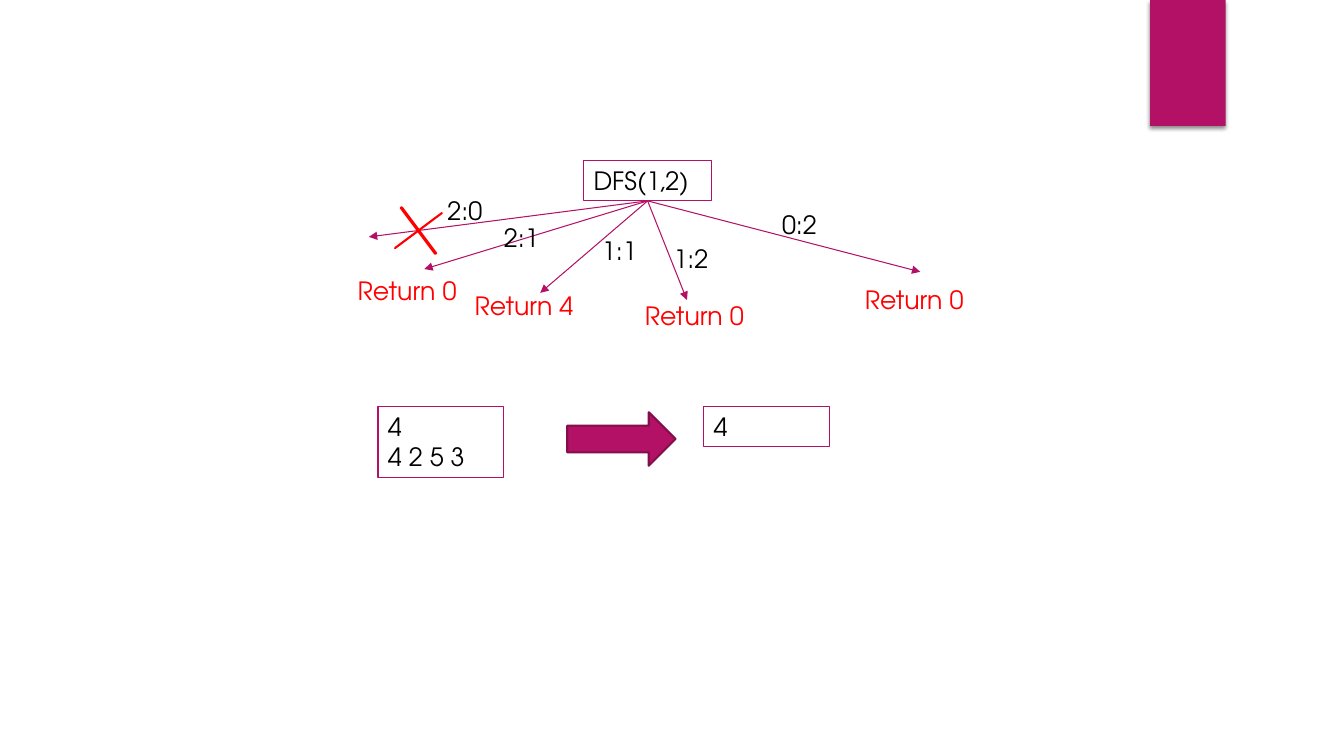
from lxml.etree import SubElement
from pptx import Presentation
from pptx.dml.color import RGBColor
from pptx.enum.shapes import MSO_CONNECTOR, MSO_SHAPE
from pptx.enum.text import MSO_ANCHOR, PP_ALIGN
from pptx.oxml import parse_xml
from pptx.oxml.ns import qn
from pptx.util import Pt

MAGENTA = RGBColor(0xB3, 0x11, 0x66)
DARK_MAGENTA = RGBColor(0x84, 0x0D, 0x4B)
RED = RGBColor(0xFF, 0x00, 0x00)
BLACK = RGBColor(0x00, 0x00, 0x00)
FONT = "TeX Gyre Adventor"
LINE_HEIGHT = 29

# Content: text, left, top, width, height (points)
ROOT = ("DFS(1,2)", 416.9, 114.5, 91.4, LINE_HEIGHT)
INPUT = ("4\n4 2 5 3", 270, 290, 90, 51)
OUTPUT = ("4", 502.6, 290, 90, LINE_HEIGHT)

# Branches: label, label position, arrow tip, result, result position
BRANCHES = [
    ("2:0", (312.5, 136), (263.5, 169.2), None, None),
    ("2:1", (352.8, 155), (303.1, 192.2), "Return 0", (248.4, 193)),
    ("1:1", (422.9, 164.7), (385.9, 209.2), "Return 4", (331.9, 203.5)),
    ("1:2", (474, 170), (490.7, 214.3), "Return 0", (453.6, 211)),
    ("0:2", (551.5, 146.2), (657.4, 194.2), "Return 0", (610.6, 199.5)),
]
LABEL_WIDTH, RESULT_WIDTH = 62, 111.6

SHADOW = (
    '<a:effectLst xmlns:a="http://schemas.openxmlformats.org/drawingml/2006/main">'
    '<a:outerShdw blurRad="38100" dist="25400" dir="5400000" rotWithShape="0">'
    '<a:srgbClr val="000000"><a:alpha val="45000"/></a:srgbClr>'
    '</a:outerShdw></a:effectLst>'
)

presentation = Presentation()
presentation.slide_width, presentation.slide_height = Pt(960), Pt(540)
slide = presentation.slides.add_slide(presentation.slide_layouts[6])


def write(shape, text, color):
    text_frame = shape.text_frame
    text_frame.text = text
    text_frame.word_wrap = True
    text_frame.vertical_anchor = MSO_ANCHOR.TOP
    for paragraph in text_frame.paragraphs:
        paragraph.alignment = PP_ALIGN.LEFT
        for run in paragraph.runs:
            run.font.name, run.font.size = FONT, Pt(18)
            run.font.color.rgb = color


def add_text(text, position, width, color):
    left, top = position
    text_box = slide.shapes.add_textbox(Pt(left), Pt(top), Pt(width), Pt(LINE_HEIGHT))
    write(text_box, text, color)


def add_shape(kind, left, top, width, height, fill=None, line=None, weight=0.75):
    shape = slide.shapes.add_shape(kind, Pt(left), Pt(top), Pt(width), Pt(height))
    shape.shadow.inherit = False
    if fill is None:
        shape.fill.background()
    else:
        shape.fill.solid()
        shape.fill.fore_color.rgb = fill
    if line is None:
        shape.line.fill.background()
    else:
        shape.line.color.rgb = line
        shape.line.width = Pt(weight)
    return shape


def add_box(text, *place):
    box = add_shape(MSO_SHAPE.RECTANGLE, *place, line=MAGENTA)
    write(box, text, BLACK)
    return box


def add_branch(root, tip):
    connector = slide.shapes.add_connector(
        MSO_CONNECTOR.STRAIGHT, 0, 0, Pt(tip[0]), Pt(tip[1]))
    connector.begin_connect(root, 2)
    connector.line.color.rgb = MAGENTA
    connector.line.width = Pt(0.75)
    properties = connector.line._get_or_add_ln()
    SubElement(properties, qn("a:tailEnd"), type="triangle")
    SubElement(connector._element.spPr, qn("a:effectLst"))


# Corner tab with a soft shadow
tab = add_shape(MSO_SHAPE.RECTANGLE, 821.5, 0, 54, 90, fill=MAGENTA)
properties = tab._element.spPr
properties.replace(properties.find(qn("a:effectLst")), parse_xml(SHADOW))

# Search tree
root = add_box(*ROOT)
for label, label_position, tip, result, result_position in BRANCHES:
    add_branch(root, tip)
    add_text(label, label_position, LABEL_WIDTH, BLACK)
    if result:
        add_text(result, result_position, RESULT_WIDTH, RED)

# Cross over the rejected branch
cross = add_shape(MSO_SHAPE.CROSS, 278, 144.2, 41.8, 41, RED, RED, 1.5)
cross.adjustments[0] = 0.5
cross.rotation = 323.2

# Input, arrow and output
add_box(*INPUT)
add_shape(MSO_SHAPE.RIGHT_ARROW, 405.2, 294.5, 77.3, 38.2, MAGENTA, DARK_MAGENTA, 1.5)
add_box(*OUTPUT)

presentation.save("out.pptx")
